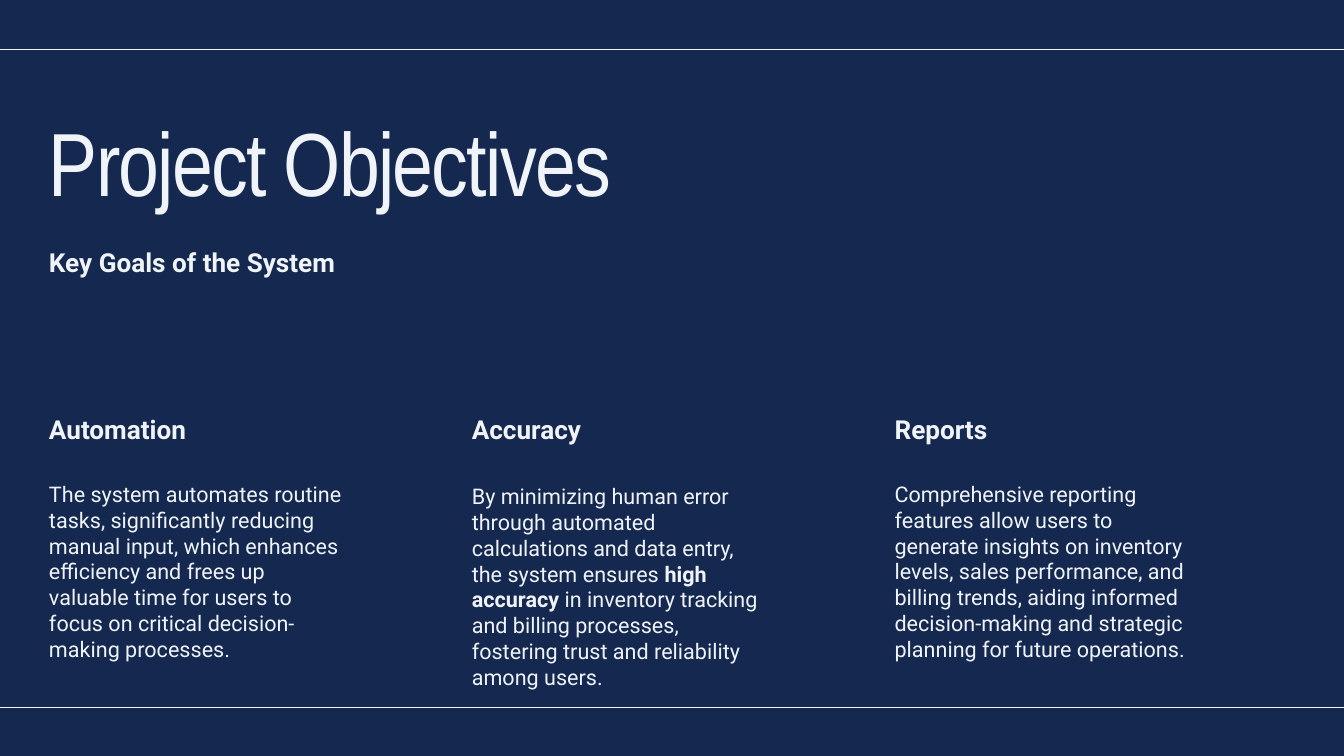
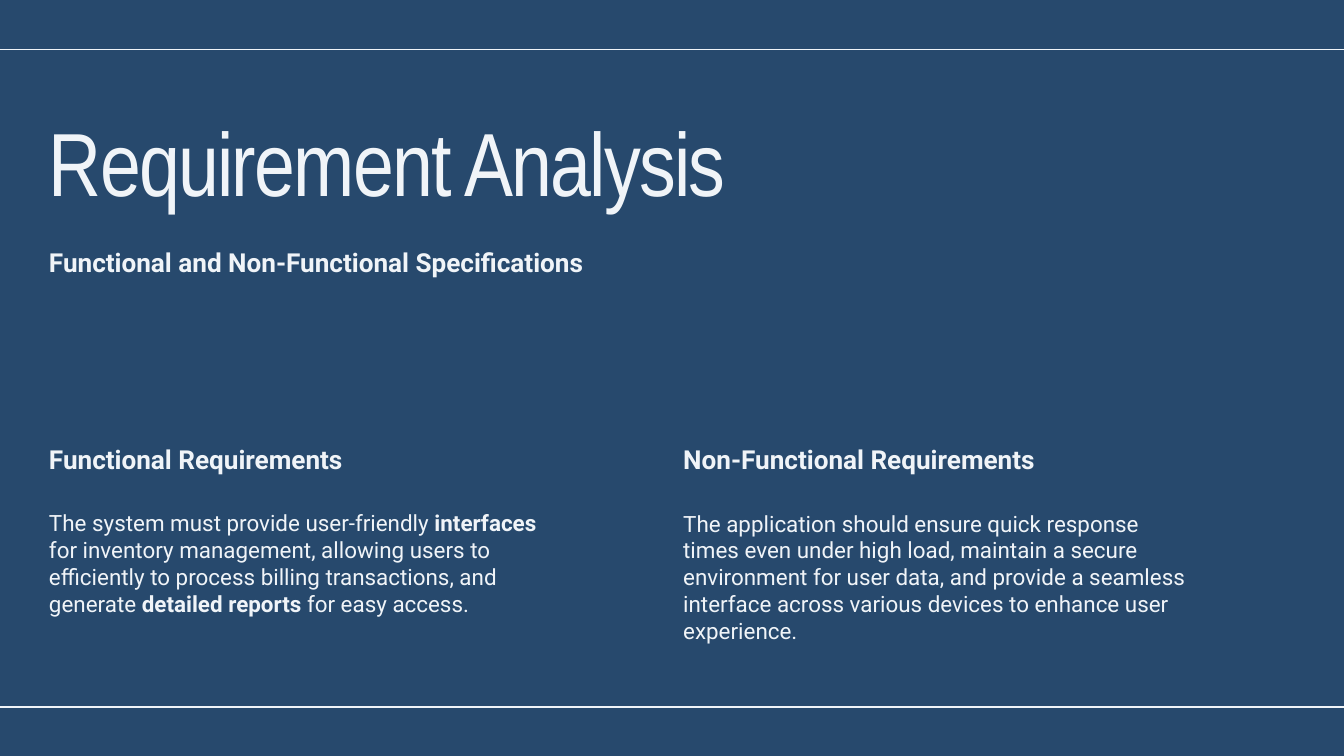
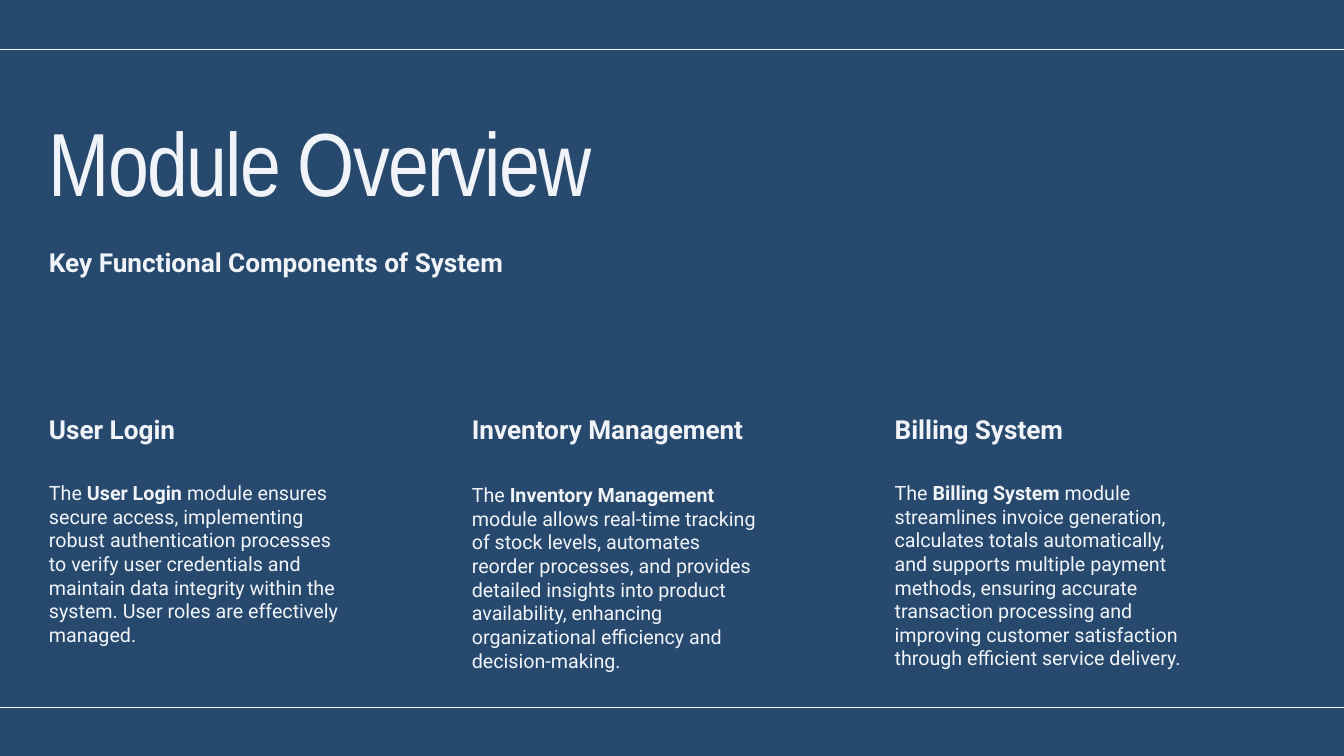
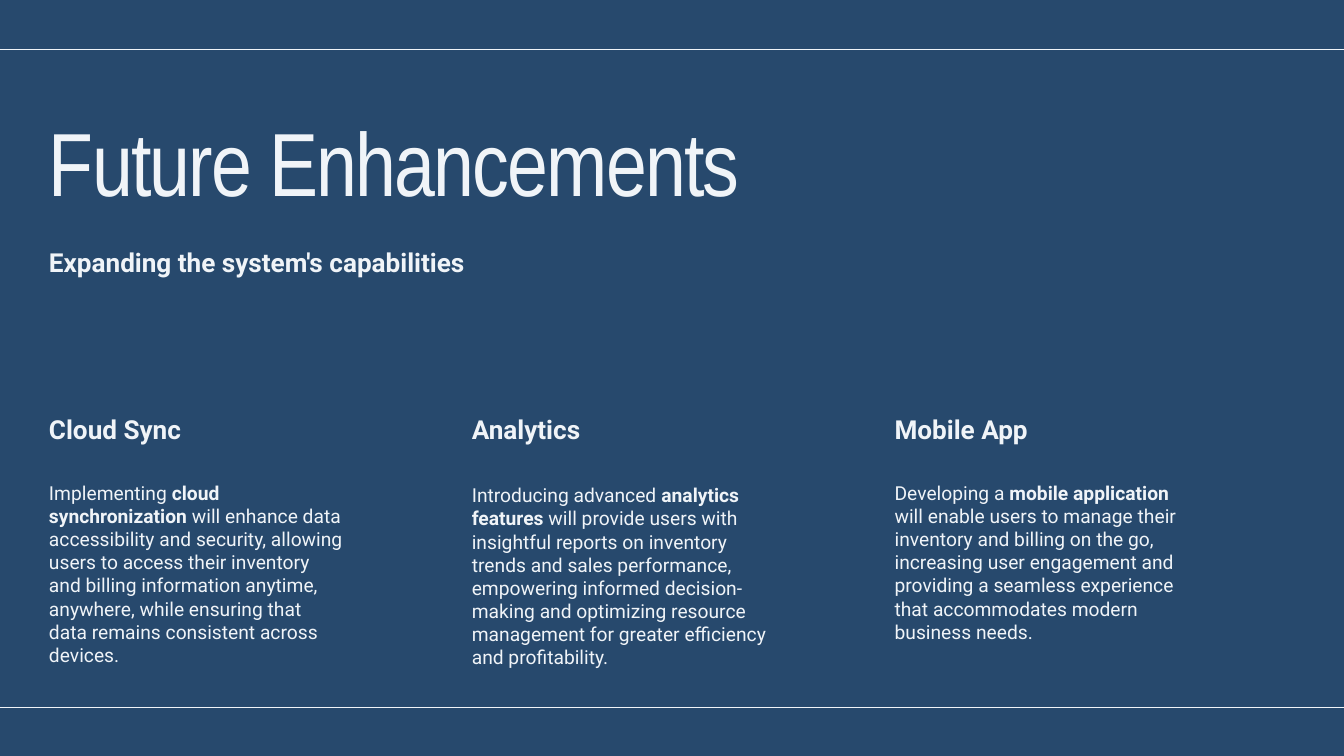
import lxml.etree
import pptx
import pptx.dml.color
import pptx.enum.shapes
import pptx.enum.text
import pptx.oxml.ns
import pptx.util

PX = 9525
WIDE, HIGH = 1920, 1080
LEFT, SPAN, GAP = 70, 1629, 183
TOP_RULE = 71
TITLE_FONT, TEXT_FONT = "Arial Narrow", "Roboto"
HUES = {"navy": "142850", "steel": "27496D", "pale": "F0F4F8"}

SLIDES = [
    {
        "title": "Project Objectives",
        "sub": "Key Goals of the System",
        "back": "navy", "size": 23.1, "head": 590, "rule": 1011,
        "cols": [
            ("Automation", 687, 252, [
                "The system automates routine tasks, significantly reducing manual input, "
                "which enhances efficiency and frees up valuable time for users to focus "
                "on critical decision-making processes."]),
            ("Accuracy", 690, 252, [
                "By minimizing human error through automated calculations and data entry, "
                "the system ensures ",
                "high accuracy",
                " in inventory tracking and billing processes, fostering trust and "
                "reliability among users."]),
            ("Reports", 687, 252, [
                "Comprehensive reporting features allow users to generate insights on "
                "inventory levels, sales performance, and billing trends, aiding informed "
                "decision-making and strategic planning for future operations."]),
        ],
    },
    {
        "title": "Requirement Analysis",
        "sub": "Functional and Non-Functional Specifications",
        "back": "steel", "size": 24, "head": 634, "rule": 1010,
        "cols": [
            ("Functional Requirements", 728, 156, [
                "The system must provide user-friendly ",
                "interfaces",
                " for inventory management, allowing users to efficiently to process "
                "billing transactions, and generate ",
                "detailed reports",
                " for easy access."]),
            ("Non-Functional Requirements", 728, 190, [
                "The application should ensure quick response times even under high load, "
                "maintain a secure environment for user data, and provide a seamless "
                "interface across various devices to enhance user experience."]),
        ],
    },
    {
        "title": "Module Overview",
        "sub": "Key Functional Components of System",
        "back": "steel", "size": 21.1, "head": 590, "rule": 1011,
        "cols": [
            ("User Login", 687, 231, [
                "The ",
                "User Login",
                " module ensures secure access, implementing robust authentication "
                "processes to verify user credentials and maintain data integrity within "
                "the system. User roles are effectively managed."]),
            ("Inventory Management", 690, 231, [
                "The ",
                "Inventory Management",
                " module allows real-time tracking of stock levels, automates reorder "
                "processes, and provides detailed insights into product availability, "
                "enhancing organizational efficiency and decision-making."]),
            ("Billing System", 687, 265, [
                "The ",
                "Billing System",
                " module streamlines invoice generation, calculates totals automatically, "
                "and supports multiple payment methods, ensuring accurate transaction "
                "processing and improving customer satisfaction through efficient service "
                "delivery."]),
        ],
    },
    {
        "title": "Future Enhancements",
        "sub": "Expanding the system's capabilities",
        "back": "steel", "size": 20.6, "head": 590, "rule": 1011,
        "cols": [
            ("Cloud Sync", 688, 224, [
                "Implementing ",
                "cloud synchronization",
                " will enhance data accessibility and security, allowing users to access "
                "their inventory and billing information anytime, anywhere, while ensuring "
                "that data remains consistent across devices."]),
            ("Analytics", 691, 256, [
                "Introducing advanced ",
                "analytics features",
                " will provide users with insightful reports on inventory trends and sales "
                "performance, empowering informed decision-making and optimizing resource "
                "management for greater efficiency and profitability."]),
            ("Mobile App", 688, 224, [
                "Developing a ",
                "mobile application",
                " will enable users to manage their inventory and billing on the go, "
                "increasing user engagement and providing a seamless experience that "
                "accommodates modern business needs."]),
        ],
    },
]


def hue(name):
    return pptx.dml.color.RGBColor.from_string(HUES[name])


def add_text(group, area, runs, size, font=TEXT_FONT, lead=1.2, track=0):
    box = group.shapes.add_textbox(*[n * PX for n in area])
    frame = box.text_frame
    frame.margin_left = frame.margin_right = 0
    frame.margin_top = frame.margin_bottom = 0
    frame.word_wrap = True
    frame.auto_size = pptx.enum.text.MSO_AUTO_SIZE.SHAPE_TO_FIT_TEXT
    para = frame.paragraphs[0]
    para.line_spacing = pptx.util.Pt(round(size * lead, 1))
    for text, bold in runs:
        run = para.add_run()
        run.text = text
        run.font.name = font
        run.font.size = pptx.util.Pt(size)
        run.font.bold = bold
        run.font.color.rgb = hue("pale")
        if track:
            run._r.get_or_add_rPr().set("spc", str(track))


def add_head(group, left, top, width, text):
    add_text(group, (left, top, width, 44), [(text, True)], 28)


def add_title(slide, title, sub):
    group = slide.shapes.add_group_shape()
    width = WIDE - 2 * LEFT
    add_text(group, (LEFT, 179, width, 139), [(title, False)], 96,
             TITLE_FONT, lead=1, track=-190)
    add_head(group, LEFT, 352, width, sub)


def add_cols(slide, cols, head, size):
    width = (SPAN - GAP * (len(cols) - 1)) // len(cols)
    for i, (name, top, high, parts) in enumerate(cols):
        left = LEFT + i * (width + GAP)
        group = slide.shapes.add_group_shape()
        add_head(group, left, head, width, name)
        runs = [(part, j % 2 == 1) for j, part in enumerate(parts)]
        add_text(group, (left, top, width, high), runs, size)


def add_rule(slide, top):
    rule = slide.shapes.add_connector(
        pptx.enum.shapes.MSO_CONNECTOR.STRAIGHT, 0, top * PX, WIDE * PX, top * PX)
    rule.line.color.rgb = hue("pale")
    rule.line.width = pptx.util.Pt(1.5)
    lxml.etree.SubElement(rule._element.spPr, pptx.oxml.ns.qn("a:effectLst"))


def add_slide(deck, data):
    slide = deck.slides.add_slide(deck.slide_layouts[6])
    fill = slide.background.fill
    fill.solid()
    fill.fore_color.rgb = hue(data["back"])
    add_cols(slide, data["cols"], data["head"], data["size"])
    add_title(slide, data["title"], data["sub"])
    for top in (TOP_RULE, data["rule"]):
        add_rule(slide, top)


def main():
    deck = pptx.Presentation()
    deck.slide_width = WIDE * PX
    deck.slide_height = HIGH * PX
    for data in SLIDES:
        add_slide(deck, data)
    deck.save("out.pptx")


if __name__ == "__main__":
    main()
